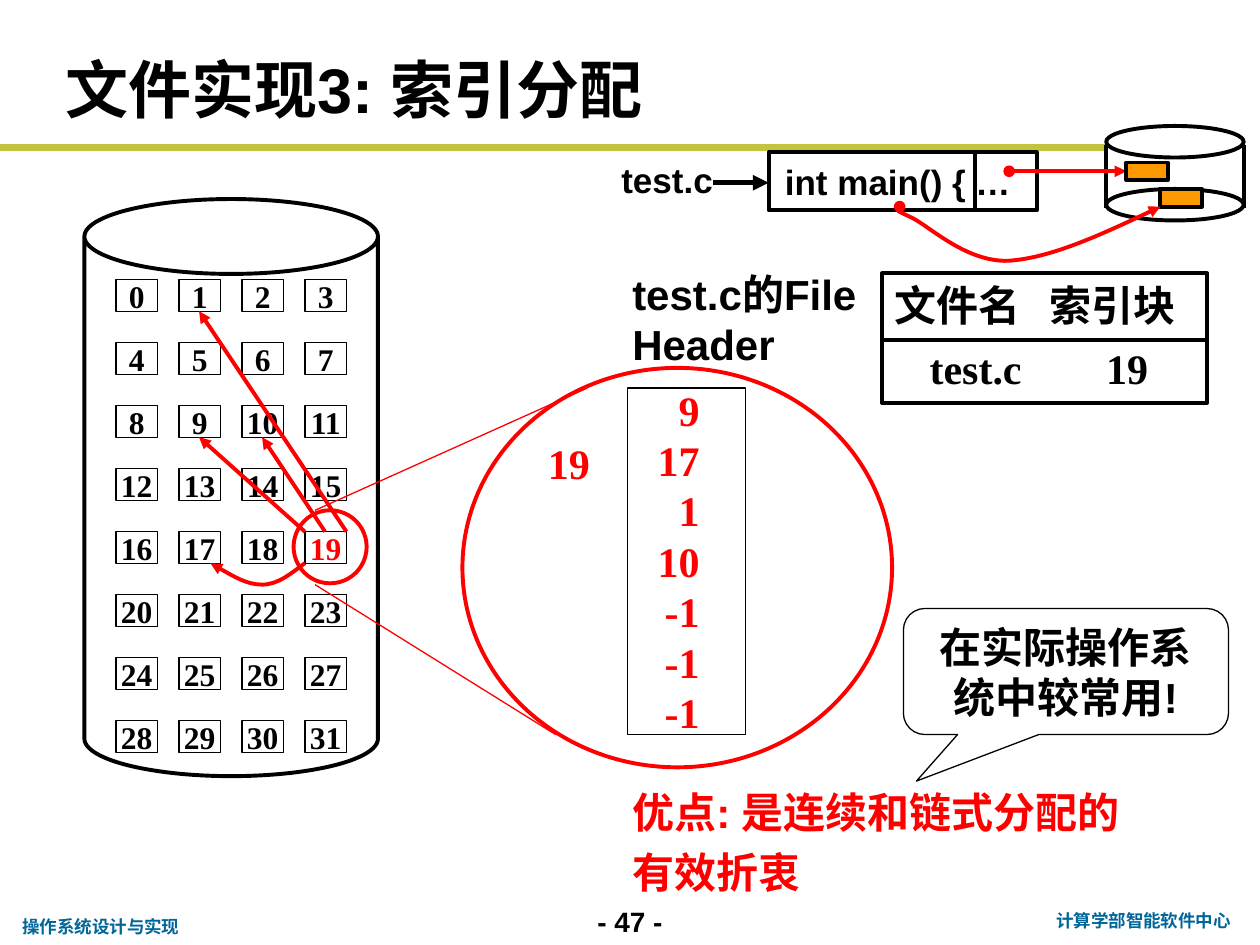
from lxml.etree import SubElement
from pptx import Presentation
from pptx.dml.color import RGBColor
from pptx.enum.shapes import MSO_CONNECTOR, MSO_SHAPE as SHAPE
from pptx.enum.text import MSO_ANCHOR as ANCHOR, PP_ALIGN as ALIGN
from pptx.oxml.ns import qn
from pptx.util import Inches, Pt

BLACK = RGBColor(0x00, 0x00, 0x00)
WHITE = RGBColor(0xFF, 0xFF, 0xFF)
RED = RGBColor(0xFF, 0x00, 0x00)
ORANGE = RGBColor(0xFF, 0x99, 0x00)
OLIVE = RGBColor(0xC1, 0xC4, 0x3C)
TEAL = RGBColor(0x00, 0x66, 0x99)
SERIF = "Times New Roman"
THICK, THIN = 2.25, 0.75


def write_text(holder, text, size=24, color=BLACK, font="Arial", align=ALIGN.LEFT,
               anchor=ANCHOR.TOP, wrap=True, margins=(0.1, 0.05)):
    frame = holder.text_frame
    side, edge = (Inches(value) for value in margins)
    frame_format = {
        "word_wrap": wrap, "vertical_anchor": anchor,
        "margin_left": side, "margin_right": side,
        "margin_top": edge, "margin_bottom": edge,
    }
    for name, value in frame_format.items():
        setattr(frame, name, value)
    for index, line in enumerate(text.split("\n")):
        para = frame.add_paragraph() if index else frame.paragraphs[0]
        para.alignment = align
        span = para.add_run()
        span.text = line
        span.font.color.rgb = color
        for name, value in {"name": font, "size": Pt(size), "bold": True}.items():
            setattr(span.font, name, value)
    return frame.paragraphs[0]


def add_text(page, place, text, **style):
    box = page.shapes.add_textbox(*map(Inches, place))
    return write_text(box, text, **style)


def set_stroke(shape, color, width):
    shape.line.color.rgb = color
    shape.line.width = Pt(width)


def add_box(page, kind, place, fill=None, color=BLACK, width=THICK, adjust=()):
    shape = page.shapes.add_shape(kind, *map(Inches, place))
    shape.shadow.inherit = False
    if fill is None:
        shape.fill.background()
    else:
        shape.fill.solid()
        shape.fill.fore_color.rgb = fill
    set_stroke(shape, color, width)
    for index, value in enumerate(adjust):
        shape.adjustments[index] = value
    return shape


def add_ends(shape, head=None, tail=None):
    outline = shape.line._get_or_add_ln()
    for tag, kind in (("a:headEnd", head), ("a:tailEnd", tail)):
        if kind:
            SubElement(outline, qn(tag), type=kind)


def add_line(page, start, end, color=BLACK, width=THICK, tail=None):
    line = page.shapes.add_connector(
        MSO_CONNECTOR.STRAIGHT, *map(Inches, (*start, *end)))
    set_stroke(line, color, width)
    add_ends(line, tail=tail)
    SubElement(line._element.spPr, qn("a:effectLst"))


def add_curve(page, points, head=None):
    start, *rest = [tuple(map(Inches, point)) for point in points]
    builder = page.shapes.build_freeform(*start)
    builder.add_line_segments(rest, close=False)
    curve = builder.convert_to_shape()
    outline = next(curve._element.iter(qn("a:path")))
    segments = outline.findall(qn("a:lnTo"))
    for index in range(0, len(segments), 3):
        bezier = SubElement(outline, qn("a:cubicBezTo"))
        for segment in segments[index:index + 3]:
            bezier.append(segment[0])
            outline.remove(segment)
    curve.shadow.inherit = False
    curve.fill.background()
    set_stroke(curve, RED, THICK)
    add_ends(curve, head, "triangle")


def set_tab(para, position):
    tabs = SubElement(para._p.get_or_add_pPr(), qn("a:tabLst"))
    SubElement(tabs, qn("a:tab"), pos=str(Inches(position)), algn="l")


def add_frame(page):
    add_text(page, (4.5, 7.13, 1, 0.37), "- 47 -", size=16, align=ALIGN.CENTER)
    add_line(page, (0, 1.17), (8.78, 1.17), OLIVE, 4)
    footer = {"size": 10, "color": TEAL, "font": "Roboto"}
    add_text(page, (8.25, 7.17, 1.65, 0.27), "计算学部智能软件中心",
             align=ALIGN.CENTER, **footer)
    add_text(page, (0.08, 7.22, 1.46, 0.27), "操作系统设计与实现", wrap=False, **footer)
    add_text(page, (0.42, 0.33, 8.58, 0.74), "文件实现3: 索引分配",
             size=36, anchor=ANCHOR.MIDDLE)


def add_source_file(page):
    for top in (1, 1.5):
        add_box(page, SHAPE.OVAL, (8.78, top, 1.09, 0.25), WHITE)
    for left in (8.78, 9.87):
        add_line(page, (left, 1.15), (left, 1.65))
    add_box(page, SHAPE.RECTANGLE, (9.21, 1.5, 0.33, 0.14), ORANGE)
    code = add_box(page, SHAPE.RECTANGLE, (6.1, 1.21, 2.13, 0.46), WHITE)
    label = {"size": 20, "align": ALIGN.CENTER, "anchor": ANCHOR.MIDDLE, "wrap": False}
    write_text(code, "int main() { … ", **label)
    add_text(page, (4.83, 1.21, 0.93, 0.43), "test.c", **label)
    add_line(page, (5.66, 1.45), (6.1, 1.45), width=3, tail="triangle")
    add_line(page, (7.74, 1.21), (7.74, 1.68))
    add_curve(page, [(7.14, 1.64), (7.11, 1.65), (7.09, 1.66), (7.24, 1.73),
                     (7.38, 1.8), (7.67, 2.08), (8, 2.07),
                     (8.33, 2.05), (8.77, 1.85), (9.21, 1.64)], head="oval")
    add_curve(page, [(8.01, 1.36), (8.03, 1.36), (8.04, 1.36), (8.2, 1.36),
                     (8.35, 1.36), (8.65, 1.36), (8.94, 1.36)], head="oval")
    add_box(page, SHAPE.RECTANGLE, (8.94, 1.29, 0.33, 0.14), ORANGE)


def add_disk(page):
    for block in range(32):
        row, column = divmod(block, 4)
        place = (0.92 + column * 0.5, 2.22 + row * 0.5, 0.33, 0.25)
        cell = add_box(page, SHAPE.RECTANGLE, place, width=THIN)
        write_text(cell, str(block), size=18, color=RED if block == 19 else BLACK,
                   font=SERIF, align=ALIGN.CENTER, anchor=ANCHOR.MIDDLE,
                   wrap=False, margins=(0, 0))
    add_box(page, SHAPE.CAN, (0.67, 1.58, 2.33, 4.58), adjust=(0.255,))
    add_box(page, SHAPE.OVAL, (2.33, 4.05, 0.58, 0.58), color=RED)
    for left, target in ((2.75, (1.58, 2.47)), (2.58, (2.08, 3.47)),
                         (2.42, (1.58, 3.47))):
        add_line(page, (left, 4.22), target, RED, tail="triangle")
    add_curve(page, [(2.42, 4.47), (2.31, 4.55), (2.21, 4.64), (2.08, 4.64),
                     (1.96, 4.64), (1.81, 4.55), (1.67, 4.47)])


def add_index_block(page):
    number = {"color": RED, "font": SERIF}
    add_text(page, (5.1, 3, 0.55, 2.9), "9\n17\n1\n10\n-1\n-1\n-1",
             align=ALIGN.RIGHT, **number)
    add_box(page, SHAPE.RECTANGLE, (4.98, 3.08, 0.94, 2.75), width=THIN)
    add_box(page, SHAPE.OVAL, (3.67, 2.92, 3.41, 3.17), color=RED)
    add_text(page, (4.25, 3.42, 0.53, 0.5), "19", wrap=False, **number)
    add_line(page, (2.5, 4.05), (4.66, 3.08), RED, THIN)
    add_line(page, (2.5, 4.64), (4.41, 5.83), RED, THIN)


def add_file_header(page):
    heading = add_box(page, SHAPE.RECTANGLE, (7, 2.17, 2.58, 0.53))
    set_tab(write_text(heading, "文件名\t索引块", font=SERIF), 1.23)
    add_box(page, SHAPE.RECTANGLE, (7, 2.7, 2.58, 0.5))
    entry = add_text(page, (7.28, 2.67, 1.93, 0.5), "test.c\t19", font=SERIF)
    set_tab(entry, 1.4)
    add_text(page, (4.92, 2.08, 3.13, 0.9), "test.c的File Header")


def add_remarks(page):
    benefit = add_text(page, (4.42, 6.11, 4.83, 1.06),
                       "优点: 是连续和链式分配的有效折衷", color=RED)
    benefit.line_spacing = 1.2
    benefit._p.get_or_add_pPr().set("marL", str(Inches(0.5)))
    callout = add_box(page, SHAPE.ROUNDED_RECTANGULAR_CALLOUT, (7.17, 4.83, 2.58, 1),
                      WHITE, width=THIN, adjust=(-0.46, 0.87, 0.17))
    write_text(callout, "在实际操作系统中较常用!", align=ALIGN.CENTER,
               anchor=ANCHOR.MIDDLE)


def main():
    deck = Presentation()
    deck.slide_width, deck.slide_height = Inches(10), Inches(7.5)
    page = deck.slides.add_slide(deck.slide_layouts[6])
    for add_part in (add_frame, add_source_file, add_disk, add_index_block,
                     add_file_header, add_remarks):
        add_part(page)
    deck.save("out.pptx")


if __name__ == "__main__":
    main()
